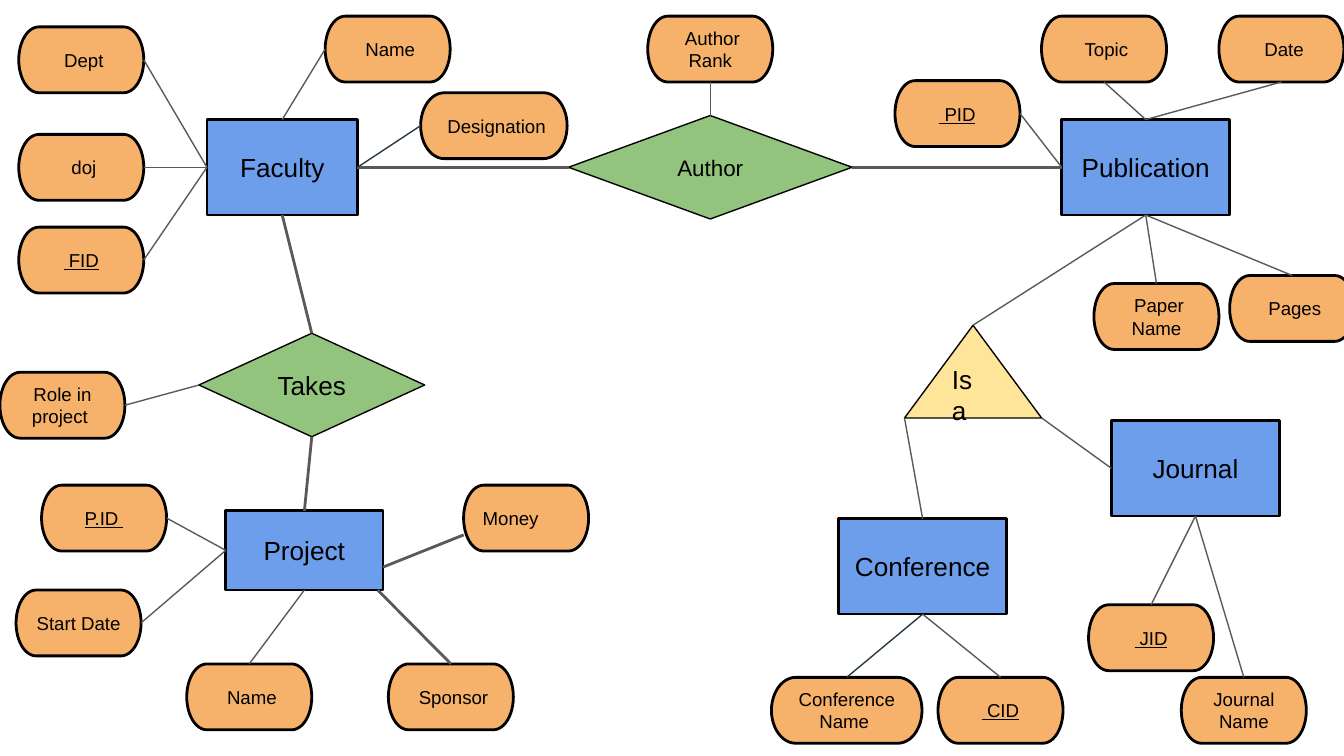
from lxml.etree import SubElement
from pptx import Presentation
from pptx.dml.color import RGBColor
from pptx.enum.shapes import MSO_CONNECTOR, MSO_SHAPE
from pptx.enum.text import MSO_ANCHOR, PP_ALIGN
from pptx.oxml.ns import qn
from pptx.util import Pt

PX = 9144  # 100 px to the inch
COLORS = {
    "entity": "6D9EEB",
    "attribute": "F6B26B",
    "relation": "93C47D",
    "isa": "FFE599",
    "ink": "000000",
    "link": "595959",
    "dark link": "233A44",
}
SITES = {"top": 0, "left": 1, "bottom": 2, "right": 3}


def color(name):
    return RGBColor.from_string(COLORS[name])


class ErDiagram:
    font = "Arial"
    inset = 10 * PX
    thin, thick = Pt(0.75), Pt(1.5)

    def __init__(self, slide):
        self.slide = slide

    def node(self, preset, fill, text, box, size=14, border=thick,
             align=PP_ALIGN.CENTER, underline=None):
        shape = self.slide.shapes.add_shape(preset, *(n * PX for n in box))
        shape.shadow.inherit = False
        shape.fill.solid()
        shape.fill.fore_color.rgb = color(fill)
        shape.line.color.rgb = color("ink")
        shape.line.width = border
        frame = shape.text_frame
        frame.word_wrap = True
        frame.vertical_anchor = MSO_ANCHOR.MIDDLE
        frame.margin_left = frame.margin_right = self.inset
        frame.margin_top = frame.margin_bottom = self.inset
        paragraph = frame.paragraphs[0]
        paragraph.alignment = align
        run = paragraph.add_run()
        run.text = text
        run.font.name = self.font
        run.font.size = Pt(size)
        run.font.color.rgb = color("ink")
        run.font.underline = underline
        return shape

    def entity(self, text, *box):
        return self.node(MSO_SHAPE.RECTANGLE, "entity", text, box)

    def relation(self, text, *box, size=14):
        return self.node(MSO_SHAPE.DIAMOND, "relation", text, box, size, self.thin)

    def isa(self, text, *box):
        return self.node(MSO_SHAPE.ISOSCELES_TRIANGLE, "isa", text, box,
                         border=self.thin, align=PP_ALIGN.LEFT)

    def attribute(self, text, x, y, owner, owner_end, own_end, width=93,
                  key=None, align=PP_ALIGN.CENTER, weight=thin, shade="link"):
        """Draw an attribute and the link to its owner."""
        oval = self.node(MSO_SHAPE.FLOWCHART_TERMINATOR, "attribute", text,
                         (x, y, width, 49), 10, align=align, underline=key)
        self.link(owner, owner_end, oval, own_end, weight, shade)

    def link(self, start, start_end, target, target_end, weight=thin, shade="link"):
        """Join two nodes; each end is a side name or an (x, y) point."""
        line = self.slide.shapes.add_connector(MSO_CONNECTOR.STRAIGHT, 0, 0, 0, 0)
        if start_end in SITES:
            line.begin_connect(start, SITES[start_end])
        else:
            line.begin_x, line.begin_y = (n * PX for n in start_end)
        if target_end in SITES:
            line.end_connect(target, SITES[target_end])
        else:
            line.end_x, line.end_y = (n * PX for n in target_end)
        line.line.color.rgb = color(shade)
        line.line.width = weight
        SubElement(line._element.spPr, qn("a:effectLst"))


def main():
    deck = Presentation()
    deck.slide_width = 1000 * PX
    deck.slide_height = deck.slide_width * 9 // 16
    er = ErDiagram(deck.slides.add_slide(deck.slide_layouts[6]))

    faculty = er.entity("Faculty", 154, 89, 112, 71)
    conference = er.entity("Conference", 624, 386, 125, 71)
    project = er.entity("Project", 168, 380, 117, 59)
    publication = er.entity("Publication", 790, 89, 125, 71)
    journal = er.entity("Journal", 827, 313, 125, 71)
    author = er.relation("Author", 423, 86, 211, 77, size=12)
    takes = er.relation("Takes", 148, 248, 168, 77)
    isa = er.isa("Is a", 673, 242, 102, 69)

    for start, start_end, target, target_end in (
        (faculty, "right", author, "left"),
        (author, "right", publication, "left"),
        (faculty, "bottom", takes, "top"),
        (takes, "bottom", project, "top"),
    ):
        er.link(start, start_end, target, target_end, er.thick)
    er.link(publication, "bottom", isa, "top")
    er.link(isa, (673, 311), conference, "top")
    er.link(isa, (775, 311), journal, "left")

    er.attribute(" Dept", 14, 20, faculty, "left", "right")
    er.attribute(" doj", 14, 100, faculty, "left", "right")
    er.attribute(" FID", 14, 169, faculty, "left", "right", key=True)
    er.attribute(" Name", 242, 12, faculty, "top", "left")
    er.attribute(" Designation", 313, 69, faculty, "right", "left",
                 width=109, shade="dark link")

    er.attribute(" Author Rank", 482, 12, author, "top", "bottom")
    er.attribute("Role in project ", 0, 277, takes, "left", "right")

    er.attribute(" PID", 666, 60, publication, "left", "right", key=True)
    er.attribute(" Topic", 775, 12, publication, "top", "bottom")
    er.attribute(" Date", 907, 12, publication, "top", "bottom")
    er.attribute(" Paper Name", 814, 211, publication, "bottom", "top")
    er.attribute(" Pages", 915, 205, publication, "bottom", "top")

    er.attribute("P.ID ", 31, 361, project, "left", "right", key=True)
    er.attribute("Start Date", 12, 439, project, "left", "right")
    er.attribute(" Name", 139, 494, project, "bottom", "top")
    er.attribute(" Sponsor", 289, 494, project, (281, 439), "top", weight=er.thick)
    er.attribute("Money", 345, 361, project, (285, 422), (345, 398),
                 align=PP_ALIGN.LEFT, weight=er.thick)

    er.attribute("Conference Name ", 574, 504, conference, "bottom", "top",
                 width=112, shade="dark link")
    er.attribute(" CID", 698, 504, conference, "bottom", "top", key=True)
    er.attribute(" JID", 810, 450, journal, "bottom", "top", key=True)
    er.attribute("Journal Name", 879, 504, journal, "bottom", "top")

    deck.save("out.pptx")


if __name__ == "__main__":
    main()
